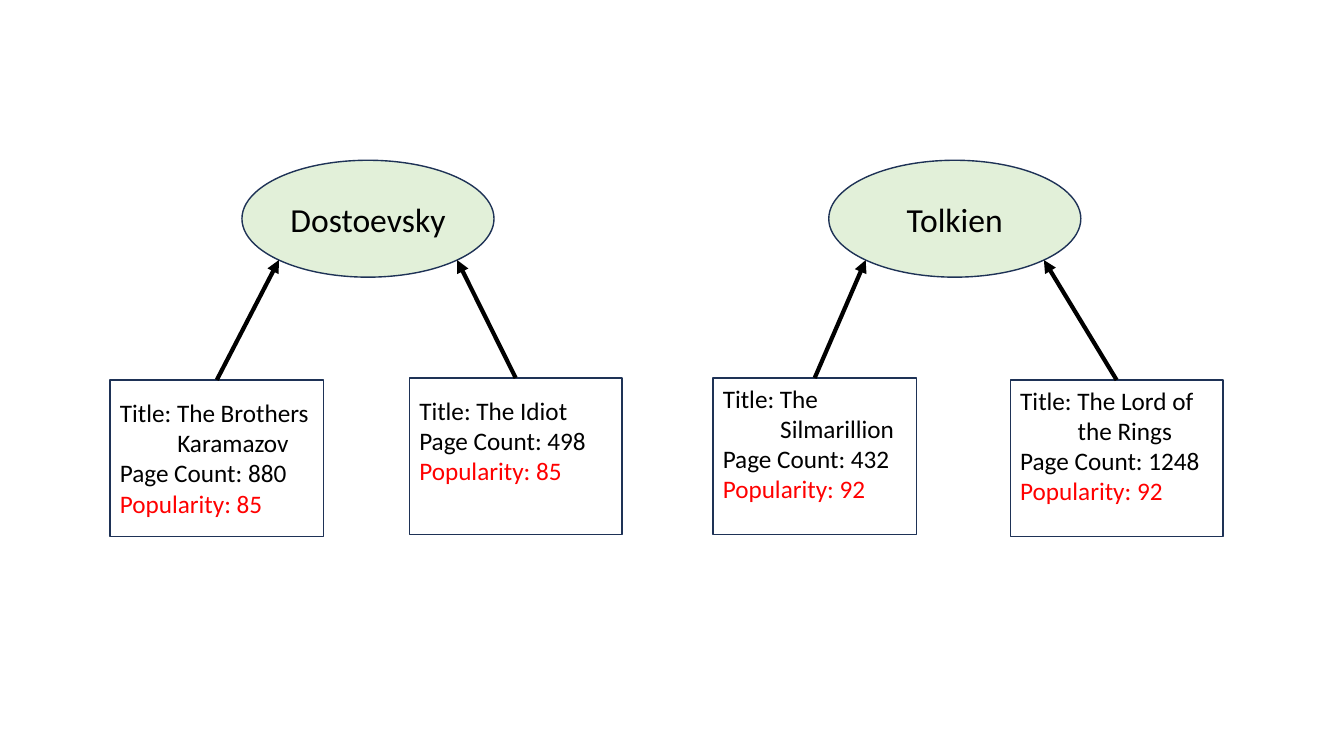
from math import sqrt

from lxml import etree
from pptx import Presentation
from pptx.dml.color import RGBColor as RGB
from pptx.enum.shapes import MSO_CONNECTOR as CONN, MSO_SHAPE as SHAPE
from pptx.enum.text import MSO_ANCHOR as ANCHOR, PP_ALIGN as ALIGN
from pptx.oxml.ns import qn
from pptx.util import Inches, Pt

# Content: each book is (title lines, page count, left, top, width, top inset)
AUTHORS = [
    {"name": "Dostoevsky", "left": 2.4, "popularity": 85, "books": [
        (["The Brothers", "Karamazov"], 880, 1.09, 3.77, 2.12, 0.17),
        (["The Idiot"], 498, 4.06, 3.75, 2.11, 0.17)]},
    {"name": "Tolkien", "left": 8.22, "popularity": 92, "books": [
        (["The", "Silmarillion"], 432, 7.07, 3.75, 2.02, 0.05),
        (["The Lord of", "the Rings"], 1248, 10.02, 3.77, 2.11, 0.05)]},
]

THEME = {
    "font": "Calibri", "author_size": 24, "book_size": 18,
    "ink": RGB.from_string("000000"), "alert": RGB.from_string("FF0000"),
    "outline": RGB.from_string("1E3256"), "author_fill": RGB.from_string("E2F0D9"),
}
AUTHOR_TOP, AUTHOR_W, AUTHOR_H = 1.59, 2.5, 1.16
BOOK_H = 1.55
TITLE_INDENT = 0.57

prs = Presentation()
prs.slide_width, prs.slide_height = Inches(13.33), Inches(7.5)
s = prs.slides.add_slide(prs.slide_layouts[6])


def add_node(kind, left, top, width, height):
    sp = s.shapes.add_shape(kind, *map(Inches, (left, top, width, height)))
    sp.shadow.inherit = False
    sp.fill.background()
    sp.line.color.rgb = THEME["outline"]
    sp.line.width = Pt(1)
    sp.text_frame.word_wrap = True
    return sp


def style(p, size, color, align):
    p.alignment = align
    for r in p.runs:
        r.font.name = THEME["font"]
        r.font.size = Pt(size)
        r.font.color.rgb = color


def add_book(book, popularity):
    title, pages, left, top, width, inset = book
    sp = add_node(SHAPE.RECTANGLE, left, top, width, BOOK_H)
    tf = sp.text_frame
    tf.vertical_anchor = ANCHOR.TOP
    tf.margin_top = Inches(inset)
    lines = [f"Title: {title[0]}", *title[1:],
             f"Page Count: {pages}", f"Popularity: {popularity}"]
    tf.text = "\n".join(lines)
    for p in tf.paragraphs:
        style(p, THEME["book_size"], THEME["ink"], ALIGN.LEFT)
    # Continued title lines align under the title itself
    for p in tf.paragraphs[1:len(title)]:
        p._p.get_or_add_pPr().set("marL", str(Inches(TITLE_INDENT)))
    tf.paragraphs[-1].runs[0].font.color.rgb = THEME["alert"]
    return sp


def add_author(name, left):
    sp = add_node(SHAPE.OVAL, left, AUTHOR_TOP, AUTHOR_W, AUTHOR_H)
    sp.fill.solid()
    sp.fill.fore_color.rgb = THEME["author_fill"]
    sp.text_frame.vertical_anchor = ANCHOR.MIDDLE
    sp.text_frame.text = name
    style(sp.text_frame.paragraphs[0], THEME["author_size"], THEME["ink"], ALIGN.CENTER)
    return sp


def add_arrow(book, author, side):
    """Arrow from the top of a book to the lower diagonal point of an author."""
    reach = 1 / (2 * sqrt(2))
    tip_x = int(author.left + author.width * (0.5 + side * reach))
    tip_y = int(author.top + author.height * (0.5 + reach))
    c = s.shapes.add_connector(CONN.STRAIGHT, book.left + book.width // 2,
                               book.top, tip_x, tip_y)
    c.begin_connect(book, 0)
    c.line.color.rgb = THEME["ink"]
    c.line.width = Pt(3)
    etree.SubElement(c.line._get_or_add_ln(), qn("a:tailEnd"), type="triangle")
    etree.SubElement(c._element.spPr, qn("a:effectLst"))


# Each author with a book on the left (-1) and on the right (+1)
for a in AUTHORS:
    books = [add_book(b, a["popularity"]) for b in a["books"]]
    author = add_author(a["name"], a["left"])
    for book, side in zip(books, (-1, 1)):
        add_arrow(book, author, side)

prs.save("out.pptx")
